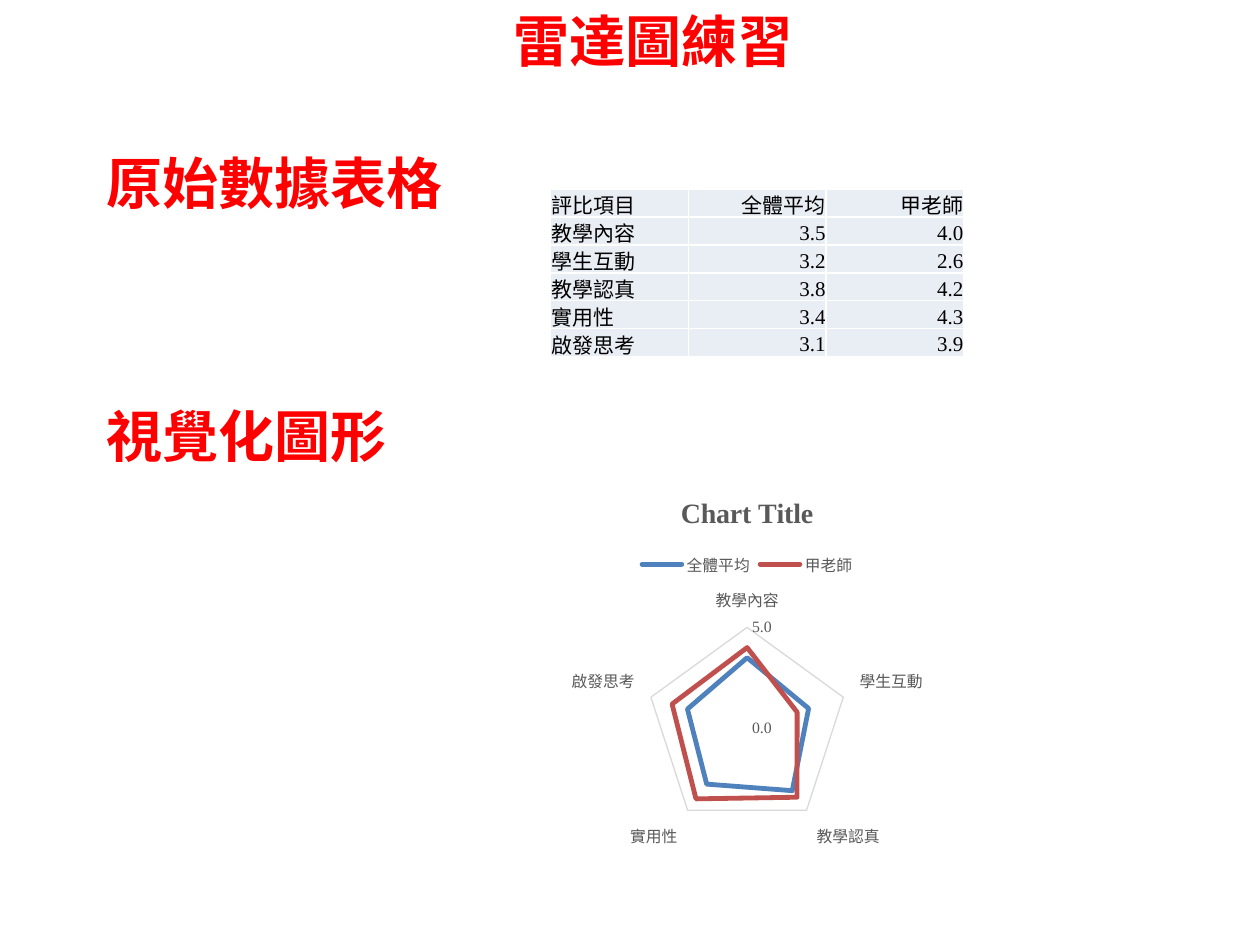
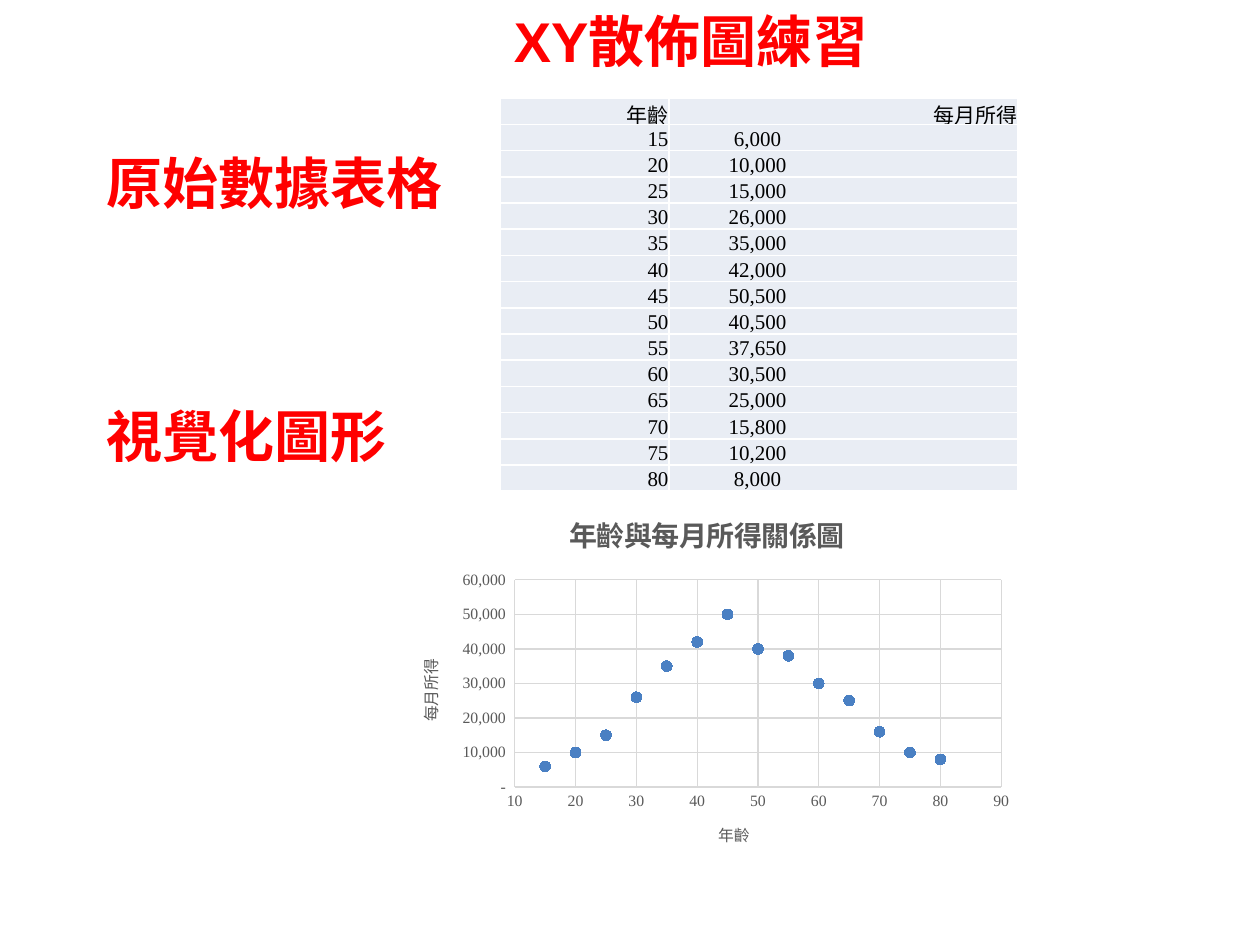
from pptx import Presentation
from pptx.chart.data import CategoryChartData, XyChartData
from pptx.dml.color import RGBColor
from pptx.enum.chart import XL_CHART_TYPE, XL_LEGEND_POSITION, XL_MARKER_STYLE, XL_TICK_MARK
from pptx.enum.text import MSO_ANCHOR, PP_ALIGN
from pptx.oxml import parse_xml
from pptx.oxml.ns import nsdecls
from pptx.util import Inches, Pt

COLORS = {"heading": "FF0000", "text": "000000", "cell": "E9EDF4", "border": "FFFFFF",
          "label": "595959", "grid": "D9D9D9", "average": "4F81BD", "teacher": "C0504D",
          "marker": "4A80C3"}
HEADING_FONT, BODY_FONT = "Arial", "Times New Roman"
CELL_MARGIN = Inches(0.01) // 2
SECTIONS = [("原始數據表格", 1.13), ("視覺化圖形", 3.14)]

RADAR_TITLE = "雷達圖練習"
RATING_HEADER = ("評比項目", "全體平均", "甲老師")
RATINGS = [("教學內容", 3.5, 4.0), ("學生互動", 3.2, 2.6), ("教學認真", 3.8, 4.2),
           ("實用性", 3.4, 4.3), ("啟發思考", 3.1, 3.9)]

SCATTER_TITLE = "XY散佈圖練習"
INCOME_HEADER = ("年齡", "每月所得")
INCOMES = [6000, 10000, 15000, 26000, 35000, 42000, 50500,
           40500, 37650, 30500, 25000, 15800, 10200, 8000]
AGES = range(15, 85, 5)


def rgb(name):
    return RGBColor.from_string(COLORS[name])


def style_font(font, size, color, name=BODY_FONT, bold=False):
    font.size, font.name, font.bold = Pt(size), name, bold
    font.color.rgb = rgb(color)


def add_run(p, text, *style, **options):
    r = p.add_run()
    r.text = text
    style_font(r.font, *style, **options)


def add_heading(s, text, left, top, width):
    tf = s.shapes.add_textbox(Inches(left), Inches(top), Inches(width), Inches(0.64)).text_frame
    tf.word_wrap = True
    add_run(tf.paragraphs[0], text, 32, "heading", name=HEADING_FONT, bold=True)


def new_slide(title):
    s = prs.slides.add_slide(prs.slide_layouts[6])
    add_heading(s, title, 3.98, 0, 4.96)
    for text, top in SECTIONS:
        add_heading(s, text, 0.75, top, 2.99)
    return s


def add_borders(cell):
    tcPr = cell._tc.get_or_add_tcPr()
    for i, side in enumerate(("lnL", "lnR", "lnT", "lnB")):
        tcPr.insert(i, parse_xml(
            f'<a:{side} {nsdecls("a")} w="12700"><a:solidFill>'
            f'<a:srgbClr val="{COLORS["border"]}"/></a:solidFill></a:{side}>'))


def add_data_table(s, rows, left, top, widths, height, aligns):
    frame = s.shapes.add_table(len(rows), len(widths), Inches(left), Inches(top),
                               Inches(sum(widths)), Inches(height))
    table = frame.table
    for column, width in zip(table.columns, widths):
        column.width = Inches(width)
    for i, row in enumerate(rows):
        for j, text in enumerate(row):
            cell = table.cell(i, j)
            cell.fill.solid()
            cell.fill.fore_color.rgb = rgb("cell")
            cell.vertical_anchor = MSO_ANCHOR.BOTTOM
            cell.margin_left = cell.margin_right = cell.margin_top = CELL_MARGIN
            cell.margin_bottom = 0
            p = cell.text_frame.paragraphs[0]
            p.alignment = aligns[j]
            add_run(p, text, 12, "text")
            add_borders(cell)
    return table


def set_title(owner, text, size, bold):
    owner.has_title = True
    title = owner.chart_title if hasattr(owner, "chart_title") else owner.axis_title
    add_run(title.text_frame.paragraphs[0], text, size, "label", bold=bold)


def grid_line(line, width):
    line.color.rgb = rgb("grid")
    line.width = Pt(width)


def add_data_chart(s, kind, data, left, top, title):
    chart = s.shapes.add_chart(kind, Inches(left), Inches(top), Inches(5), Inches(3), data).chart
    style_font(chart.font, 10, "text")
    set_title(chart, title, 16, True)
    for axis in (chart.category_axis, chart.value_axis):
        axis.major_tick_mark = axis.minor_tick_mark = XL_TICK_MARK.NONE
        style_font(axis.tick_labels.font, 9, "label")
    grid_line(chart.category_axis.format.line, 1)
    chart.value_axis.format.line.fill.background()
    chart.value_axis.has_major_gridlines = True
    grid_line(chart.value_axis.major_gridlines.format.line, 0.75)
    return chart


def scale(axis, low, high, unit, number_format):
    axis.minimum_scale, axis.maximum_scale, axis.major_unit = low, high, unit
    axis.tick_labels.number_format = number_format
    axis.tick_labels.number_format_is_linked = False


def add_radar_slide():
    s = new_slide(RADAR_TITLE)
    items, *scores = zip(*RATINGS)
    data = CategoryChartData(number_format="0.0")
    data.categories = items
    for name, values in zip(RATING_HEADER[1:], scores):
        data.add_series(name, values)
    chart = add_data_chart(s, XL_CHART_TYPE.RADAR, data, 3.43, 3.78, "Chart Title")
    chart.category_axis.has_major_gridlines = False
    scale(chart.value_axis, 0, 5, 5, "0.0")
    chart.has_legend = True
    chart.legend.position = XL_LEGEND_POSITION.TOP
    chart.legend.include_in_layout = False
    style_font(chart.legend.font, 9, "label")
    for series, color in zip(chart.plots[0].series, ("average", "teacher")):
        series.format.line.color.rgb = rgb(color)
        series.format.line.width = Pt(2.75)
        series._element.xpath("c:spPr/a:ln")[0].set("cap", "rnd")
        series.marker.style = XL_MARKER_STYLE.NONE
        series.smooth = False
    rows = [RATING_HEADER] + [(item, f"{a:.1f}", f"{b:.1f}") for item, a, b in RATINGS]
    add_data_table(s, rows, 4.37, 1.5, [3.28 / 3] * 3, 1.33,
                   (PP_ALIGN.LEFT, PP_ALIGN.RIGHT, PP_ALIGN.RIGHT))


def add_scatter_slide():
    s = new_slide(SCATTER_TITLE)
    data = XyChartData()
    points = data.add_series(INCOME_HEADER[1])
    for age, income in zip(AGES, INCOMES):
        points.add_data_point(age, round(income, -3))
    chart = add_data_chart(s, XL_CHART_TYPE.XY_SCATTER, data, 3.11, 3.91, "年齡與每月所得關係圖")
    chart.has_legend = False
    age_axis, income_axis = chart.category_axis, chart.value_axis
    age_axis.has_major_gridlines = True
    grid_line(age_axis.major_gridlines.format.line, 0.75)
    scale(age_axis, 10, 90, 10, "General")
    scale(income_axis, 0, 60000, 10000, '_-#,##0_-;-#,##0_-;_-"-"_-')
    for axis, text in zip((age_axis, income_axis), INCOME_HEADER):
        set_title(axis, text, 9, False)
    chart.plots[0].vary_by_categories = False
    series = chart.plots[0].series[0]
    series.format.line.fill.background()
    marker = series.marker
    marker.style, marker.size = XL_MARKER_STYLE.CIRCLE, 6
    marker.format.fill.solid()
    marker.format.fill.fore_color.rgb = rgb("marker")
    marker.format.line.color.rgb = rgb("marker")
    rows = [INCOME_HEADER] + [(str(age), f"{income:,}") for age, income in zip(AGES, INCOMES)]
    table = add_data_table(s, rows, 3.97, 0.78, [1.34, 2.77], 3.12,
                           (PP_ALIGN.RIGHT, PP_ALIGN.CENTER))
    table.cell(0, 1).text_frame.paragraphs[0].alignment = PP_ALIGN.RIGHT
    for i in range(1, len(rows)):
        table.cell(i, 1).margin_right = Inches(1.37)


prs = Presentation()
prs.slide_width, prs.slide_height = Inches(10), Inches(7.5)
add_radar_slide()
add_scatter_slide()
prs.save("out.pptx")
